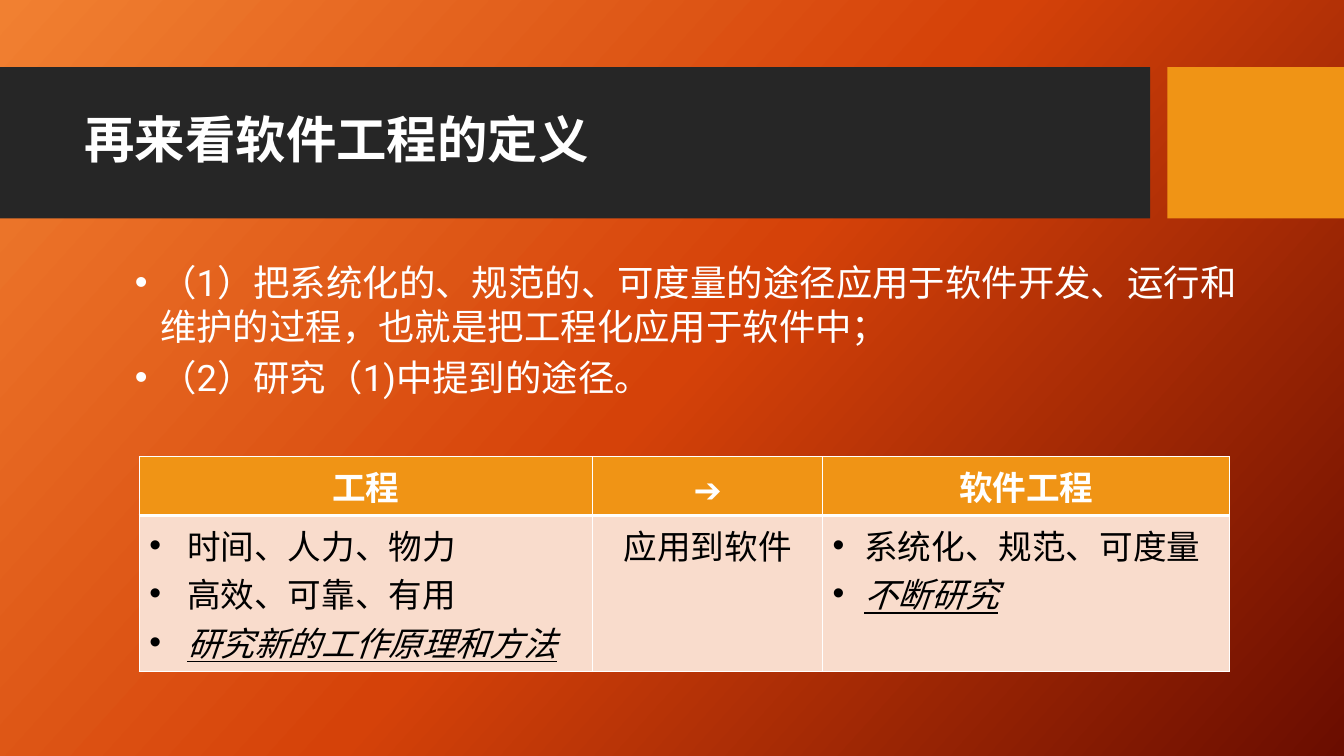
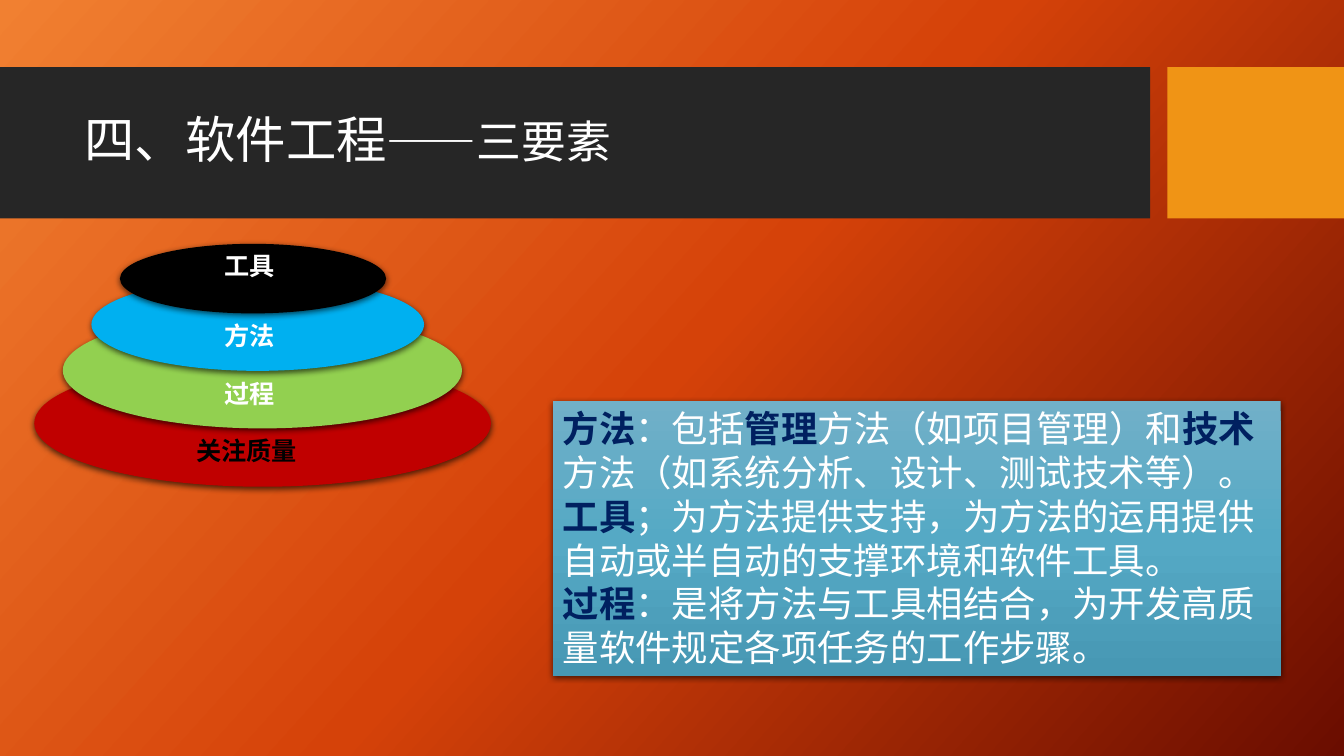
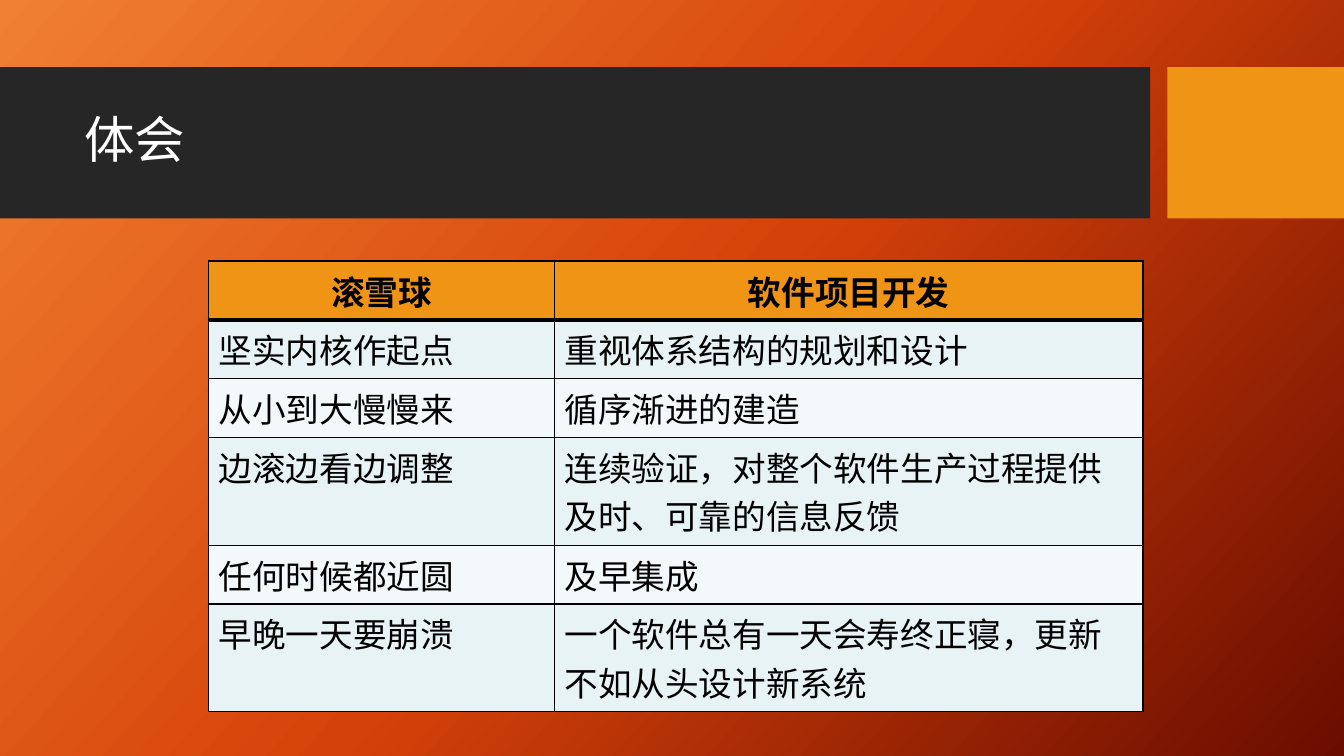
from copy import deepcopy

from lxml.etree import SubElement
from pptx import Presentation
from pptx.dml.color import RGBColor
from pptx.enum.lang import MSO_LANGUAGE_ID as Language
from pptx.enum.shapes import MSO_SHAPE as Shape
from pptx.enum.text import MSO_ANCHOR as Anchor, PP_ALIGN as Align
from pptx.oxml import parse_xml
from pptx.oxml.ns import nsdecls, qn
from pptx.util import Pt


class Theme:
    white = "FFFFFF"
    black = "000000"
    band = "262626"
    accent = "F09415"
    navy = "002060"
    peach = "F9DCCC"
    mint = "E7F3F4"
    ice = "F3F9FA"
    backdrop = ("F18031", "D54209", "6A0D00")
    panel = ("71B0C8", "55A9C5", "4798B4")
    layers = ("C00000", "92D050", "00B0F0", "000000")
    font = "Roboto"
    label_font = "Arial"
    table_font = "Times New Roman"
    title_size = 36
    subtitle_size = 32
    body_size = 26
    table_size = 24
    label_size = 18
    body_leading = Pt(31.3)
    table_leading = Pt(34.7)
    label_leading = Pt(23)


def write_text(frame, paragraphs, size, color=Theme.white, font=Theme.font, bold=False,
               align=Align.LEFT, anchor=Anchor.TOP, leading=None, before=0, left=0, hang=0):
    frame.word_wrap = True
    frame.vertical_anchor = anchor
    for index, runs in enumerate(paragraphs):
        para = frame.add_paragraph() if index else frame.paragraphs[0]
        if hang:
            properties = para._p.get_or_add_pPr()
            properties.set("marL", str(Pt(left)))
            properties.set("indent", str(-Pt(hang)))
            SubElement(properties, qn("a:buFont"), typeface="Arial")
            SubElement(properties, qn("a:buChar"), char="•")
        para.alignment = align
        if leading:
            para.line_spacing = leading
        if index and before:
            para.space_before = Pt(before)
        for run in [runs] if isinstance(runs, (str, tuple)) else runs:
            words, changes = (run, {}) if isinstance(run, str) else run
            span = para.add_run()
            span.text = words
            span.font.name = font
            span.font.language_id = Language.SIMPLIFIED_CHINESE
            span.font.size = Pt(changes.get("size", size))
            span.font.bold = changes.get("bold", bold)
            span.font.italic = span.font.underline = changes.get("stress", False)
            span.font.color.rgb = RGBColor.from_string(changes.get("color", color))


def paint_gradient(fill, element, colors, angle):
    fill.gradient()
    fill.gradient_angle = 360 - angle
    stop_list = element.find(".//" + qn("a:gsLst"))
    stop_list.insert(1, deepcopy(stop_list[0]))
    for stop, color, position in zip(fill.gradient_stops, colors, (0, 0.5, 1)):
        stop.color.rgb = RGBColor.from_string(color)
        stop.position = position


deck = Presentation()
deck.slide_width, deck.slide_height = Pt(960), Pt(540)
paint_gradient(deck.slide_master.background.fill, deck.slide_master.element, Theme.backdrop, 42)

titles = [
    ("再来看软件工程的定义", {"bold": True}),
    ["四、软件工程", ("——三要素", {"size": Theme.subtitle_size})],
    "体会",
]
pages = []
for title in titles:
    page = deck.slides.add_slide(deck.slide_layouts[6])
    for left, width, color in ((0, 821.5, Theme.band), (833.8, 126.2, Theme.accent)):
        band = page.shapes.add_shape(Shape.RECTANGLE, Pt(left), Pt(48), Pt(width), Pt(108))
        band.shadow.inherit = False
        band.fill.solid()
        band.fill.fore_color.rgb = RGBColor.from_string(color)
        band.line.fill.background()
    box = page.shapes.add_textbox(Pt(53.3), Pt(59), Pt(756.7), Pt(85))
    write_text(box.text_frame, [title], Theme.title_size, anchor=Anchor.MIDDLE, leading=0.9)
    pages.append(page)
definition_page, elements_page, lessons_page = pages

box = definition_page.shapes.add_textbox(Pt(53.3), Pt(182.2), Pt(845.3), Pt(161.3))
write_text(box.text_frame, [
    "（1）把系统化的、规范的、可度量的途径应用于软件开发、运行和维护的过程，也就是把工程化应用于软件中；",
    "（2）研究（1)中提到的途径。",
], Theme.body_size, leading=Theme.body_leading, before=5, left=54, hang=18)

key = {"color": Theme.navy, "bold": True}
panel = elements_page.shapes.add_shape(Shape.RECTANGLE, Pt(394.8), Pt(286.6), Pt(520), Pt(196))
paint_gradient(panel.fill, panel._element, Theme.panel, 90)
write_text(panel.text_frame, [
    [("方法", key), "：包括", ("管理", key), "方法（如项目管理）和", ("技术", key),
     "方法（如系统分析、设计、测试技术等）。"],
    [("工具", key), "；为方法提供支持，为方法的运用提供自动或半自动的支撑环境和软件工具。"],
    [("过程", key), "：是将方法与工具相结合，为开发高质量软件规定各项任务的工作步骤。"],
], Theme.body_size, leading=Theme.body_leading)

raised = [panel]
layer_frames = [(257, 326.2, 90.7), (223.2, 285.1, 82.8), (198.7, 237.6, 66.2), (174.2, 190.1, 49.7)]
for index, (top, width, height) in enumerate(layer_frames):
    layer = elements_page.shapes.add_shape(
        Shape.OVAL, Pt(24.5 + 20.4 * index), Pt(top), Pt(width), Pt(height))
    layer.fill.solid()
    layer.fill.fore_color.rgb = RGBColor.from_string(Theme.layers[index])
    raised.append(layer)

for shape in raised:
    shape.line.fill.background()
    shape.shadow.inherit = False
    shape._element.spPr.find(qn("a:effectLst")).append(parse_xml(
        f'<a:outerShdw {nsdecls("a")} blurRad="{Pt(4.5)}" dist="{Pt(1.5)}" dir="5400000" '
        f'rotWithShape="0"><a:srgbClr val="{Theme.black}"><a:alpha val="63000"/></a:srgbClr>'
        '</a:outerShdw>'))

layer_labels = [
    ("关注质量", 133.2, 306, 104.4, Theme.black),
    ("过程", 153.4, 265, 61.2, Theme.white),
    ("方法", 153.4, 223.9, 61.2, Theme.white),
    ("工具", 153.4, 174.2, 61.2, Theme.white),
]
for label, left, top, width, color in layer_labels:
    box = elements_page.shapes.add_textbox(Pt(left), Pt(top), Pt(width), Pt(42.5))
    write_text(box.text_frame, [label], Theme.label_size, color=color, font=Theme.label_font,
               bold=True, leading=Theme.label_leading)

stress = {"stress": True}
tables = [
    {
        "page": definition_page, "left": 99.4, "top": 326.2, "font": Theme.font,
        "widths": [324, 164.2, 290.9], "heights": [42, 111.5],
        "ink": Theme.white, "fills": [Theme.peach],
        "formats": [{"left": 27, "hang": 27}, {"align": Align.CENTER}, {"left": 22.5, "hang": 22.5}],
        "rows": [
            [["工程"], ["➔"], ["软件工程"]],
            [["时间、人力、物力", "高效、可靠、有用", ("研究新的工作原理和方法", stress)],
             ["应用到软件"],
             ["系统化、规范、可度量", ("不断研究", stress)]],
        ],
    },
    {
        "page": lessons_page, "left": 149, "top": 186.5, "font": Theme.table_font,
        "widths": [247, 420.5], "heights": [42, 42, 42, 77, 42, 77],
        "ink": Theme.black, "fills": [Theme.mint, Theme.ice],
        "formats": [{}, {}],
        "rows": [
            [["滚雪球"], ["软件项目开发"]],
            [["坚实内核作起点"], ["重视体系结构的规划和设计"]],
            [["从小到大慢慢来"], ["循序渐进的建造"]],
            [["边滚边看边调整"], ["连续验证，对整个软件生产过程提供及时、可靠的信息反馈"]],
            [["任何时候都近圆"], ["及早集成"]],
            [["早晚一天要崩溃"], ["一个软件总有一天会寿终正寝，更新不如从头设计新系统"]],
        ],
    },
]
for plan in tables:
    widths, heights = plan["widths"], plan["heights"]
    table = plan["page"].shapes.add_table(
        len(heights), len(widths), Pt(plan["left"]), Pt(plan["top"]),
        Pt(sum(widths)), Pt(sum(heights))).table
    for column, width in zip(table.columns, widths):
        column.width = Pt(width)
    for row, height in zip(table.rows, heights):
        row.height = Pt(height)
    for row_index, row in enumerate(plan["rows"]):
        header = row_index == 0
        fill = Theme.accent if header else plan["fills"][(row_index - 1) % len(plan["fills"])]
        for column_index, paragraphs in enumerate(row):
            cell = table.cell(row_index, column_index)
            cell.fill.solid()
            cell.fill.fore_color.rgb = RGBColor.from_string(fill)
            layout = {"align": Align.CENTER} if header else plan["formats"][column_index]
            write_text(cell.text_frame, paragraphs, Theme.table_size,
                       color=plan["ink"] if header else Theme.black, font=plan["font"],
                       bold=header, leading=Theme.table_leading, **layout)
            cell.vertical_anchor = Anchor.MIDDLE if header else Anchor.TOP
            thick_side = {0: "B", 1: "T"}.get(row_index)
            for position, side in enumerate("LRTB"):
                weight = Pt(3 if side == thick_side else 1)
                cell._tc.get_or_add_tcPr().insert(position, parse_xml(
                    f'<a:ln{side} {nsdecls("a")} w="{weight}"><a:solidFill>'
                    f'<a:srgbClr val="{plan["ink"]}"/></a:solidFill></a:ln{side}>'))

deck.save("out.pptx")
